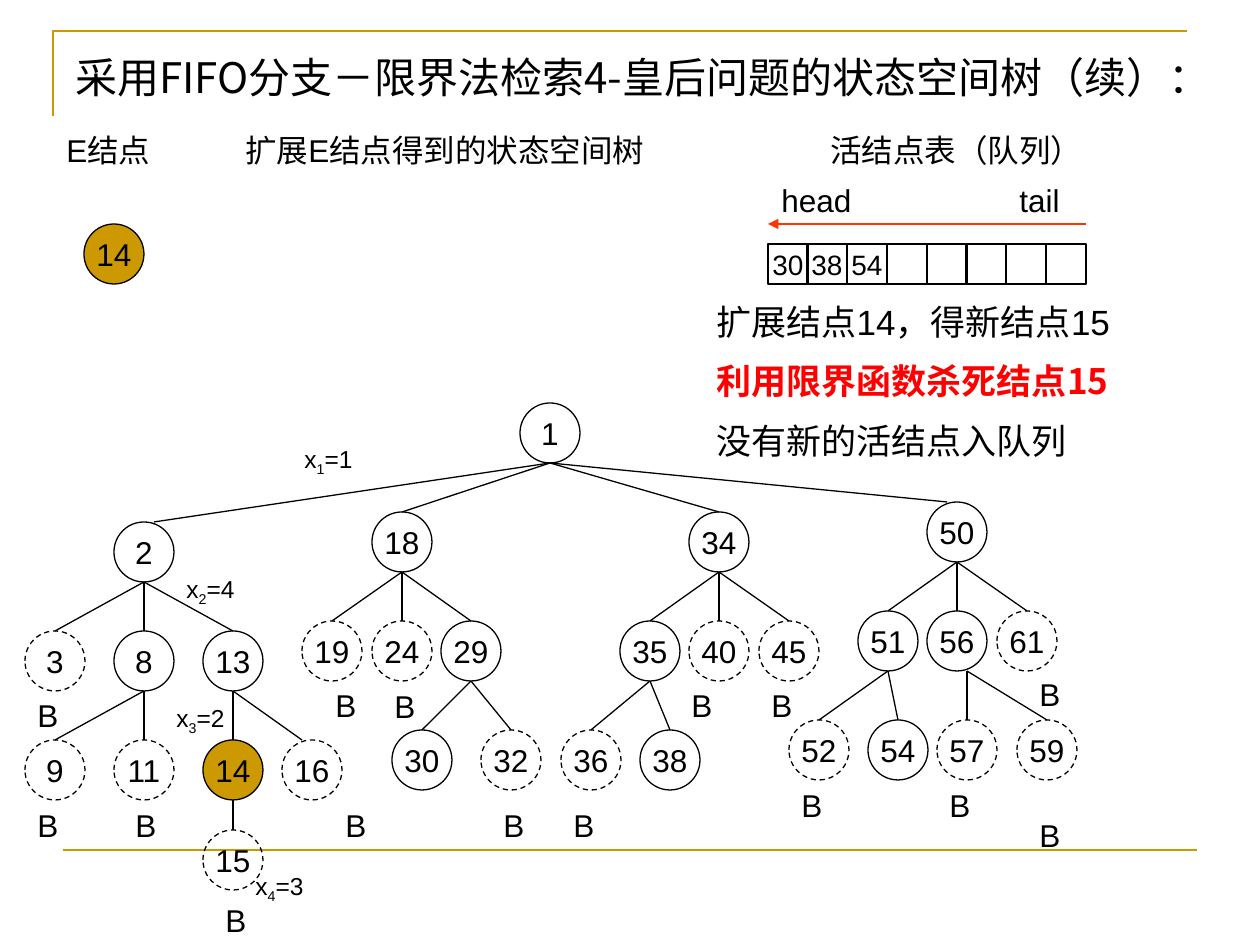
from dataclasses import dataclass

from lxml import etree
from pptx import Presentation
from pptx import util as u
from pptx.dml.color import RGBColor
from pptx.enum import dml, shapes, text
from pptx.oxml import ns

SCALE = 914400 / 126
DIAMETER = 60


@dataclass(frozen=True)
class Theme:
    ink: str = "000000"
    gold: str = "CC9900"
    red: str = "FF0000"
    arrow: str = "FF3300"
    latin: str = "Arial"
    chinese: str = "Noto Sans CJK SC"
    title: int = 24
    status: int = 20
    body: int = 18
    cell: int = 16
    branch: int = 14
    thin: float = 0.75
    frame: float = 1.5
    leading: float = 1.2


THEME = Theme()


@dataclass(frozen=True)
class Node:
    label: int
    parent: int
    left: int
    top: int
    killed: bool = False
    start_shift: int = 0
    end_shift: int = 0


NODES = [
    Node(1, 0, 520, 403),
    Node(2, 1, 114, 522, end_shift=10),
    Node(18, 1, 372, 512),
    Node(34, 1, 689, 512),
    Node(50, 1, 927, 502, end_shift=-10),
    Node(3, 2, 25, 631, True),
    Node(8, 2, 114, 631),
    Node(13, 2, 203, 631),
    Node(19, 18, 302, 621, True),
    Node(24, 18, 372, 621, True),
    Node(29, 18, 441, 621),
    Node(35, 34, 620, 621),
    Node(40, 34, 689, 621, True),
    Node(45, 34, 759, 621, True),
    Node(51, 50, 858, 611),
    Node(56, 50, 927, 611),
    Node(61, 50, 997, 611, True),
    Node(9, 8, 25, 740, True),
    Node(11, 8, 114, 740, True),
    Node(14, 13, 203, 740),
    Node(16, 13, 282, 740, True, end_shift=-10),
    Node(30, 29, 392, 730),
    Node(32, 29, 481, 730, True),
    Node(36, 35, 561, 730, True),
    Node(38, 35, 640, 730),
    Node(52, 51, 789, 720, True),
    Node(54, 51, 868, 720),
    Node(57, 56, 937, 720, True, start_shift=10),
    Node(59, 56, 1017, 720, True, start_shift=10),
    Node(15, 14, 203, 830, True),
]
EXPANDED = 14
QUEUE = [30, 38, 54]
QUEUE_LENGTH = 8
BOUND_MARKS = [
    (25, 690), (323, 680), (382, 681), (679, 680), (759, 680), (1027, 669),
    (25, 800), (123, 800), (333, 800), (491, 800), (561, 800),
    (789, 780), (937, 780), (1027, 810), (213, 895),
]
BRANCHES = [("1", "1", 292, 442), ("2", "4", 174, 572), ("3", "2", 164, 701), ("4", "3", 243, 869)]
LABELS = [
    ("E结点", 54, 125, 139),
    ("扩展E结点得到的状态空间树", 233, 125, 427),
    ("活结点表（队列）", 818, 125, 277),
    ("head", 769, 175, 118),
    ("tail", 1007, 175, 118),
]


def px(length):
    return u.Emu(round(length * SCALE))


def add_run(paragraph, words, size, color=THEME.ink, font=THEME.latin, bold=False, baseline=0):
    run = paragraph.add_run()
    run.text = words
    run.font.size = u.Pt(size)
    run.font.name = font
    run.font.bold = bold
    run.font.color.rgb = RGBColor.from_string(color)
    properties = run.font._element
    etree.SubElement(properties, ns.qn("a:ea"), typeface=THEME.chinese)
    if baseline:
        properties.set("baseline", str(baseline))


def add_text_box(slide, left, top, width, height):
    frame = slide.shapes.add_textbox(px(left), px(top), px(width), px(height)).text_frame
    frame.word_wrap = True
    return frame


def set_leading(paragraph, size):
    paragraph.line_spacing = u.Pt(size * THEME.leading)


def add_label(slide, words, left, top, width, height=50):
    paragraph = add_text_box(slide, left, top, width, height).paragraphs[0]
    set_leading(paragraph, THEME.body)
    add_run(paragraph, words, THEME.body)


def add_title(slide, words):
    frame = add_text_box(slide, 63, 38, 1197, 77)
    frame.margin_right = 0
    frame.vertical_anchor = text.MSO_ANCHOR.MIDDLE
    set_leading(frame.paragraphs[0], THEME.title)
    add_run(frame.paragraphs[0], words, THEME.title, font=THEME.chinese)


def add_status(slide, lines):
    frame = add_text_box(slide, 704, 294, 556, 183)
    for index, (words, style) in enumerate(lines):
        paragraph = frame.add_paragraph() if index else frame.paragraphs[0]
        set_leading(paragraph, THEME.status)
        if index:
            paragraph.space_before = u.Pt(THEME.status / 2)
        add_run(paragraph, words, THEME.status, **style)


def add_branch_label(slide, level, value, left, top):
    paragraph = add_text_box(slide, left, top, 100, 42).paragraphs[0]
    set_leading(paragraph, THEME.branch)
    add_run(paragraph, "x", THEME.branch)
    add_run(paragraph, level, THEME.branch, baseline=-25000)
    add_run(paragraph, "=" + value, THEME.branch)


def style_outline(shape, color, width):
    shape.line.color.rgb = RGBColor.from_string(color)
    shape.line.width = u.Pt(width)


def add_line(slide, start, end, color=THEME.ink, width=THEME.thin, arrow=False):
    points = [px(value) for value in (*start, *end)]
    connector = slide.shapes.add_connector(shapes.MSO_CONNECTOR.STRAIGHT, *points)
    style_outline(connector, color, width)
    properties = connector._element.spPr
    if arrow:
        etree.SubElement(properties.find(ns.qn("a:ln")), ns.qn("a:tailEnd"), type="triangle")
    etree.SubElement(properties, ns.qn("a:effectLst"))


def add_marker(slide, kind, left, top, size, label, type_size, filled=False, dashed=False):
    shape = slide.shapes.add_shape(kind, px(left), px(top), px(size), px(size))
    shape.shadow.inherit = False
    style_outline(shape, THEME.ink, THEME.thin)
    if filled:
        shape.fill.solid()
        shape.fill.fore_color.rgb = RGBColor.from_string(THEME.gold)
    else:
        shape.fill.background()
    if dashed:
        shape.line.dash_style = dml.MSO_LINE.DASH
    if label:
        frame = shape.text_frame
        frame.word_wrap = False
        frame.vertical_anchor = text.MSO_ANCHOR.MIDDLE
        frame.paragraphs[0].alignment = text.PP_ALIGN.CENTER
        add_run(frame.paragraphs[0], label, type_size)


def add_node(slide, label, left, top, killed=False):
    add_marker(slide, shapes.MSO_SHAPE.OVAL, left, top, DIAMETER, str(label), THEME.body,
               filled=label == EXPANDED, dashed=killed)


def add_tree(slide):
    by_label = {node.label: node for node in NODES}
    radius = DIAMETER // 2
    for node in NODES:
        add_node(slide, node.label, node.left, node.top, node.killed)
        parent = by_label.get(node.parent)
        if parent:
            start = (parent.left + radius + node.start_shift, parent.top + DIAMETER)
            add_line(slide, start, (node.left + radius + node.end_shift, node.top))


def add_queue(slide, left=768, right=1086):
    add_line(slide, (right, 224), (left, 224), THEME.arrow, arrow=True)
    for index in range(QUEUE_LENGTH):
        label = str(QUEUE[index]) if index < len(QUEUE) else ""
        cell_left = left + index * (right - left) // QUEUE_LENGTH
        add_marker(slide, shapes.MSO_SHAPE.RECTANGLE, cell_left, 244, 40, label, THEME.cell)


def add_frame(slide):
    builder = slide.shapes.build_freeform(px(53), px(116))
    builder.add_line_segments([(px(53), px(31)), (px(1187), px(31))], close=False)
    corner = builder.convert_to_shape()
    corner.shadow.inherit = False
    corner.fill.background()
    style_outline(corner, THEME.gold, THEME.frame)
    add_line(slide, (63, 850), (1197, 850), THEME.gold, THEME.frame)


def main():
    presentation = Presentation()
    presentation.slide_width, presentation.slide_height = px(1260), px(945)
    slide = presentation.slides.add_slide(presentation.slide_layouts[6])
    add_frame(slide)
    add_title(slide, "采用FIFO分支－限界法检索4-皇后问题的状态空间树（续）：")
    for label in LABELS:
        add_label(slide, *label)
    add_node(slide, EXPANDED, 84, 224)
    add_queue(slide)
    add_status(slide, [
        ("扩展结点14，得新结点15", {}),
        ("利用限界函数杀死结点15", {"color": THEME.red, "font": THEME.chinese, "bold": True}),
        ("没有新的活结点入队列", {}),
    ])
    add_tree(slide)
    for left, top in BOUND_MARKS:
        add_label(slide, "B", left, top, 89)
    for branch in BRANCHES:
        add_branch_label(slide, *branch)
    presentation.save("out.pptx")


if __name__ == "__main__":
    main()
